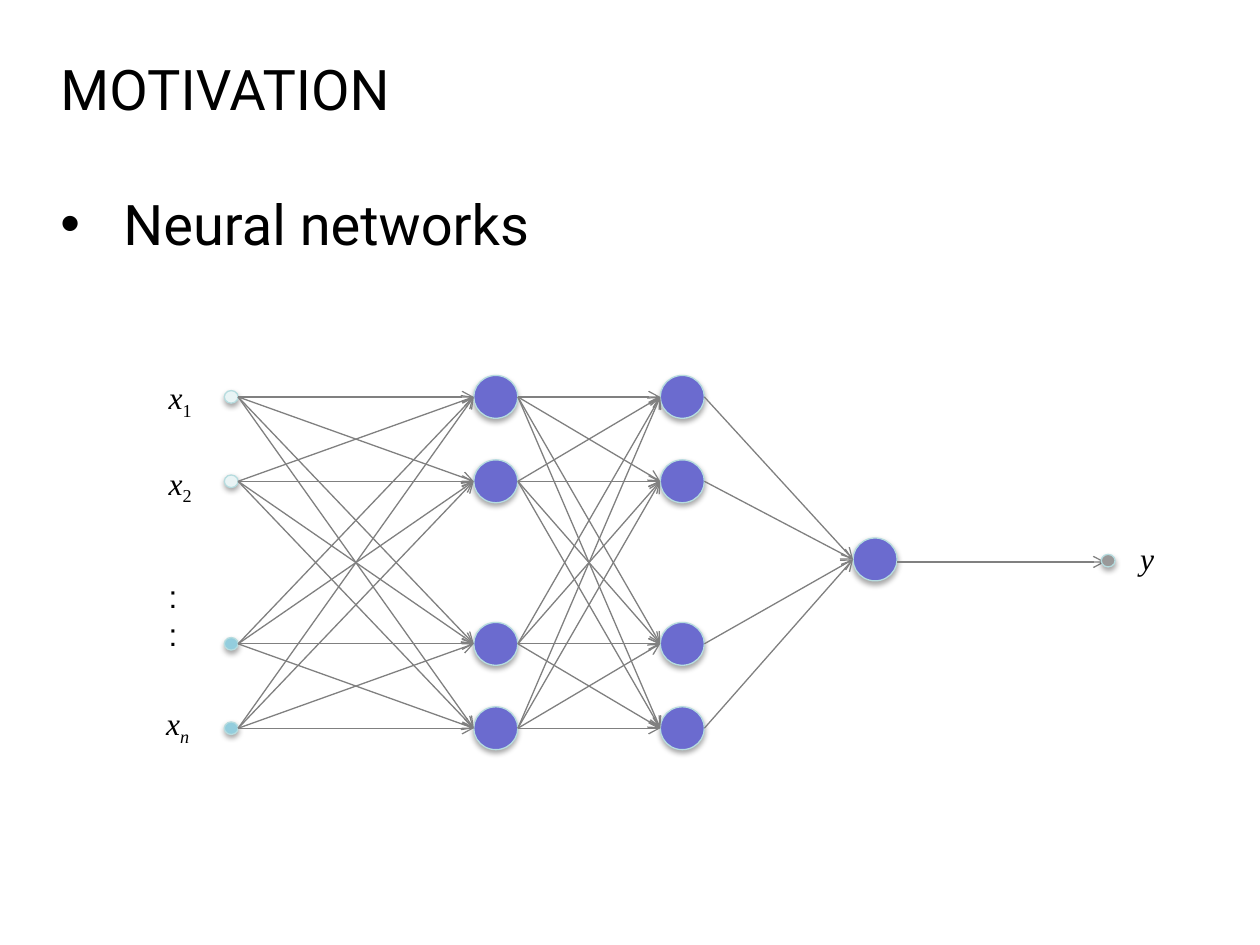
from itertools import product

from lxml import etree
from pptx import Presentation
from pptx.dml.color import RGBColor
from pptx.enum.shapes import MSO_CONNECTOR, MSO_SHAPE
from pptx.enum.text import MSO_ANCHOR, MSO_AUTO_SIZE, PP_ALIGN
from pptx.oxml import parse_xml
from pptx.oxml.ns import nsdecls, qn
from pptx.util import Pt

PX = 9144  # 100 px to the inch
OVAL = MSO_SHAPE.OVAL
LINE = MSO_CONNECTOR.STRAIGHT
TOP = MSO_ANCHOR.TOP
LEFT = PP_ALIGN.LEFT
FIXED = MSO_AUTO_SIZE.NONE

BLACK = RGBColor(0x00, 0x00, 0x00)
GRAY = RGBColor(0x80, 0x80, 0x80)
VIOLET = RGBColor(0x6B, 0x6B, 0xCF)
RIM = RGBColor(0xB6, 0xDC, 0xDF)
PALE = RGBColor(0xE9, 0xF4, 0xF5)
AQUA = RGBColor(0x93, 0xCD, 0xDD)
SILVER = RGBColor(0x99, 0x99, 0x99)

SERIF = "Times New Roman"
NODE = (35, 34)
DOT = (11, 10)
SHADOW = (
    f'<a:effectLst {nsdecls("a")}>'
    '<a:outerShdw blurRad="40000" dist="23000" dir="5400000" rotWithShape="0">'
    '<a:srgbClr val="000000"><a:alpha val="35000"/></a:srgbClr>'
    '</a:outerShdw></a:effectLst>'
)


def emu(*vals):
    return [val * PX for val in vals]


def write(para, text, size=18, face=SERIF, italic=False, base=0):
    run = para.add_run()
    run.text = text
    font = run.font
    font.size, font.name, font.italic = Pt(size), face, italic
    font.bold = False
    font.color.rgb = BLACK
    if base:
        run._r.get_or_add_rPr().set("baseline", str(base * 1000))


def fill_holder(holder, box, text, bullet=None):
    holder.left, holder.top, holder.width, holder.height = emu(*box)
    frame = holder.text_frame
    frame.auto_size, frame.word_wrap = FIXED, False
    frame.vertical_anchor = TOP
    para = frame.paragraphs[0]
    para.alignment = LEFT
    para.space_before = Pt(0)
    if bullet:
        props = para._p.get_or_add_pPr()
        props.set("marL", str(50 * PX))
        props.set("indent", str(-50 * PX))
        etree.SubElement(props, qn("a:buChar")).set("char", bullet)
    write(para, text, size=32, face="Roboto")


def add_label(slide, box, lines, **form):
    """Each line is a pair: main text and subscript format, or None."""
    frame = slide.shapes.add_textbox(*emu(*box)).text_frame
    frame.word_wrap = False
    for num, (text, sub) in enumerate(lines):
        para = frame.add_paragraph() if num else frame.paragraphs[0]
        write(para, text, **form)
        if sub:
            write(para, base=-25, **sub)


def add_node(slide, left, mid, size, color):
    wide, high = size
    node = slide.shapes.add_shape(OVAL, *emu(left, mid - high // 2, wide, high))
    node.fill.solid()
    node.fill.fore_color.rgb = color
    node.line.color.rgb = RIM
    node.line.width = Pt(0.75)
    node._element.spPr.append(parse_xml(SHADOW))


def add_arrow(slide, start, end):
    arrow = slide.shapes.add_connector(LINE, *emu(*start, *end))
    arrow.line.color.rgb = GRAY
    arrow.line.width = Pt(0.75)
    props = arrow._element.spPr
    etree.SubElement(props.find(qn("a:ln")), qn("a:tailEnd")).set("type", "arrow")
    etree.SubElement(props, qn("a:effectLst"))


def draw_net(slide, left, top):
    rows = [top + row for row in (20, 87, 216, 283)]
    feed, first, second, last = (left + col for col in (56, 254, 402, 555))
    goal, mid = left + 752, top + 149

    # Input dots and hidden layers
    for row, color in zip(rows, (PALE, PALE, AQUA, AQUA)):
        add_node(slide, feed, row, DOT, color)
        for col in (first, second):
            add_node(slide, col, row, NODE, VIOLET)
    add_node(slide, last, mid, NODE, VIOLET)

    # Full links between neighbouring layers
    layers = (
        (feed + DOT[0], rows, first, rows),
        (first + NODE[0], rows, second, rows),
        (second + NODE[0], rows, last, [mid]),
    )
    for out, tails, into, heads in layers:
        for tail, head in product(tails, heads):
            add_arrow(slide, (out, tail), (into, head))

    # Output
    exit_y = mid + 2
    add_arrow(slide, (last + NODE[0], exit_y), (goal + 3, exit_y))
    add_node(slide, goal, exit_y - 1, DOT, SILVER)

    # Labels
    marks = (
        (2, 0, 44, "1", False),
        (2, 68, 43, "2", False),
        (0, 259, 46, "n", True),
    )
    for col, row, wide, sub, slant in marks:
        add_label(slide, (left + col, top + row, wide, 40),
                  [("x", {"text": sub, "italic": slant})], italic=True)
    add_label(slide, (left + 2, top + 158, 27, 71),
              [(":", None)] * 2, face="Arial")
    add_label(slide, (left + 773, top + 128, 32, 40),
              [("y", None)], italic=True)


def main():
    deck = Presentation()
    deck.slide_width, deck.slide_height = emu(1000, 750)
    slide = deck.slides.add_slide(deck.slide_layouts[1])
    title, body = slide.placeholders
    fill_holder(title, (38, 38, 399, 64), "MOTIVATION")
    fill_holder(body, (38, 145, 399, 64), "Neural networks", bullet="•")
    draw_net(slide, 122, 295)
    deck.save("out.pptx")


if __name__ == "__main__":
    main()
